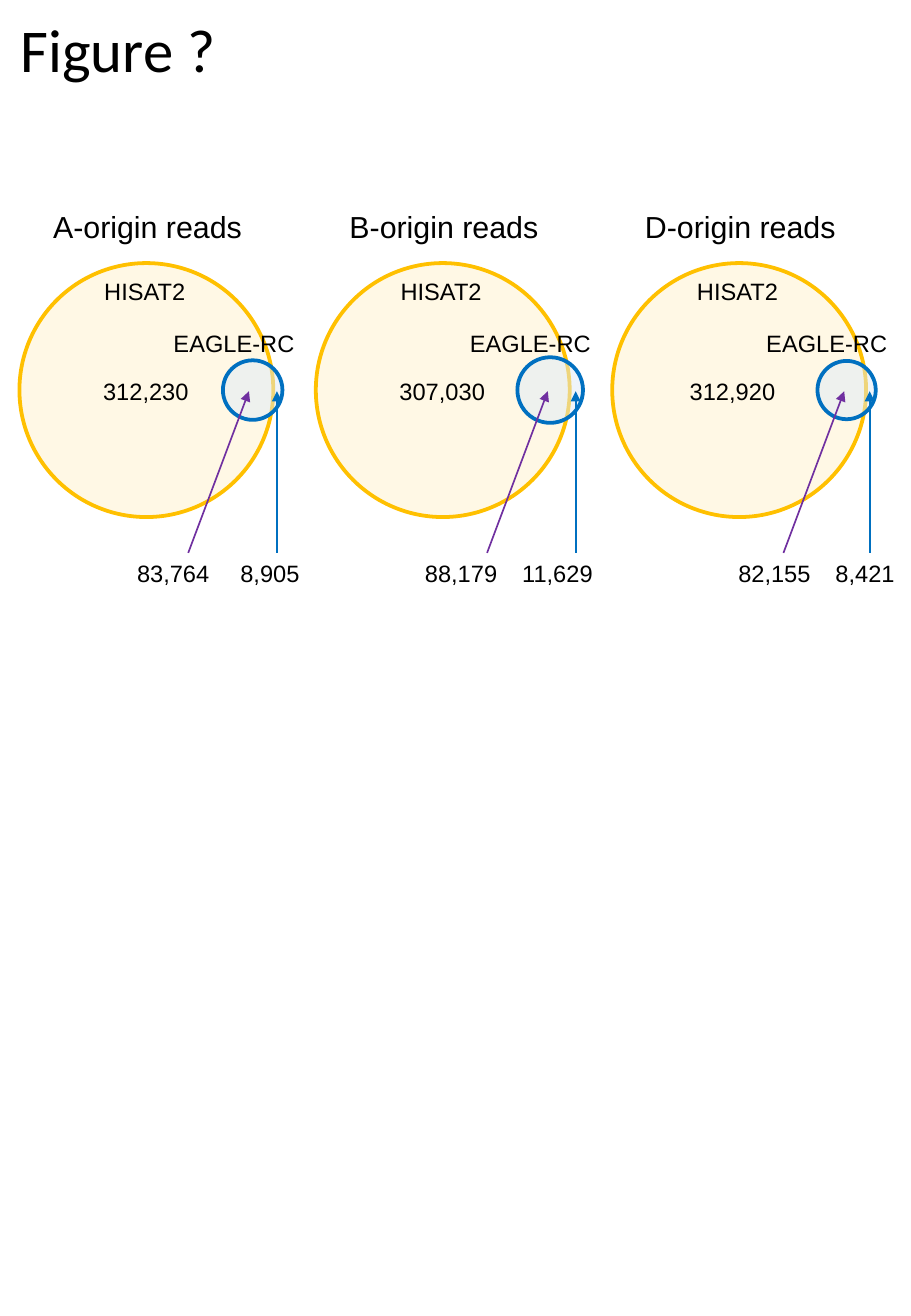
import pptx
import pptx.util
import pptx.dml.color
import pptx.enum.shapes
import pptx.enum.text
import pptx.oxml.ns
import lxml.etree

Inches, Pt = pptx.util.Inches, pptx.util.Pt
qn = pptx.oxml.ns.qn
ALIGN = pptx.enum.text.PP_ALIGN

COLORS = {
    "text": "000000",
    "hisat_fill": "FFF2CC",
    "hisat_line": "FFC000",
    "eagle_fill": "DEEBF7",
    "eagle_line": "0070C0",
    "shared": "7030A0",
}


def rgb(name):
    return pptx.dml.color.RGBColor.from_string(COLORS[name])


def write(sp, text, size=14, font="Arial", color="text", align=ALIGN.LEFT):
    """Put one formatted line of text into a shape."""
    tf = sp.text_frame
    tf.word_wrap = False
    tf.auto_size = pptx.enum.text.MSO_AUTO_SIZE.SHAPE_TO_FIT_TEXT
    tf.vertical_anchor = pptx.enum.text.MSO_ANCHOR.TOP
    p = tf.paragraphs[0]
    p.alignment = align
    r = p.add_run()
    r.text = text
    r.font.size, r.font.name = Pt(size), font
    r.font.color.rgb = rgb(color)


class Figure:
    def __init__(self, prs):
        self.slide = prs.slides.add_slide(prs.slide_layouts[5])
        self.shapes = self.slide.shapes

    def title(self, text, x, y, w, h):
        sp = self.shapes.title
        sp.left, sp.top, sp.width, sp.height = map(Inches, (x, y, w, h))
        write(sp, text, size=36, font="Calibri")

    def label(self, text, x, y, w, h=0.34, **fmt):
        sp = self.shapes.add_textbox(Inches(x), Inches(y), Inches(w), Inches(h))
        write(sp, text, **fmt)

    def circle(self, cx, cy, d, name):
        """Half-transparent circle around a centre point."""
        sp = self.shapes.add_shape(
            pptx.enum.shapes.MSO_SHAPE.OVAL,
            Inches(cx - d / 2), Inches(cy - d / 2), Inches(d), Inches(d))
        sp.shadow.inherit = False
        sp.fill.solid()
        sp.fill.fore_color.rgb = rgb(name + "_fill")
        clr = sp.element.spPr.find(qn("a:solidFill")).find(qn("a:srgbClr"))
        lxml.etree.SubElement(clr, qn("a:alpha"), val="50000")
        sp.line.color.rgb = rgb(name + "_line")
        sp.line.width = Pt(2.25)

    def arrow(self, x1, y1, x2, y2, color):
        c = self.shapes.add_connector(
            pptx.enum.shapes.MSO_CONNECTOR.STRAIGHT,
            Inches(x1), Inches(y1), Inches(x2), Inches(y2))
        c.line.color.rgb = rgb(color)
        c.line.width = Pt(1)
        spPr = c.element.spPr
        lxml.etree.SubElement(spPr.find(qn("a:ln")), qn("a:tailEnd"), type="triangle")
        lxml.etree.SubElement(spPr, qn("a:effectLst"))


# Each count is (text, left, width); shared reads lie in both circles
PANELS = [
    {"origin": "A", "eagle": (2.08, 0.49), "tips": (2.05, 2.28),
     "hisat_only": ("312,230", 0.75, 0.91),
     "shared": ("83,764", 1.03, 0.8), "eagle_only": ("8,905", 1.88, 0.69)},
    {"origin": "B", "eagle": (4.53, 0.54), "tips": (4.51, 4.74),
     "hisat_only": ("307,030", 3.19, 0.91),
     "shared": ("88,179", 3.4, 0.8), "eagle_only": ("11,629", 4.2, 0.79)},
    {"origin": "D", "eagle": (6.97, 0.48), "tips": (6.95, 7.16),
     "hisat_only": ("312,920", 5.58, 0.91),
     "shared": ("82,155", 5.98, 0.8), "eagle_only": ("8,421", 6.78, 0.69)},
]
LEFT, PITCH = 0.16, 2.44
DIAMETER, CENTER_Y = 2.09, 3.21
COUNT_Y, TIP_Y = 4.55, 3.22


def draw_panel(fig, x, panel):
    # Circles
    fig.circle(x + DIAMETER / 2, CENTER_Y, DIAMETER, "hisat")
    cx, d = panel["eagle"]
    fig.circle(cx, CENTER_Y, d, "eagle")

    # Heading and counts
    fig.label(f"{panel['origin']}-origin reads", x + 0.17, 1.66, 1.77, 0.4,
              size=18, align=ALIGN.CENTER)
    for key, y in (("hisat_only", 3.05), ("eagle_only", COUNT_Y), ("shared", COUNT_Y)):
        text, left, w = panel[key]
        fig.label(text, left, y, w)

    # Arrows from the counts to their regions
    shared_x, eagle_x = panel["tips"]
    fig.arrow(eagle_x, COUNT_Y, eagle_x, TIP_Y, "eagle_line")
    fig.arrow(shared_x - 0.5, COUNT_Y, shared_x, TIP_Y, "shared")

    # Circle names
    fig.label("HISAT2", x + 0.6, 2.23, 0.87)
    fig.label("EAGLE-RC", x + 1.17, 2.66, 1.21)


def main():
    prs = pptx.Presentation()
    prs.slide_width, prs.slide_height = Inches(7.5), Inches(10.83)
    fig = Figure(prs)
    fig.title("Figure ?", 0.07, 0.05, 1.84, 0.71)
    for i, panel in enumerate(PANELS):
        draw_panel(fig, LEFT + i * PITCH, panel)
    prs.save("out.pptx")


if __name__ == "__main__":
    main()
